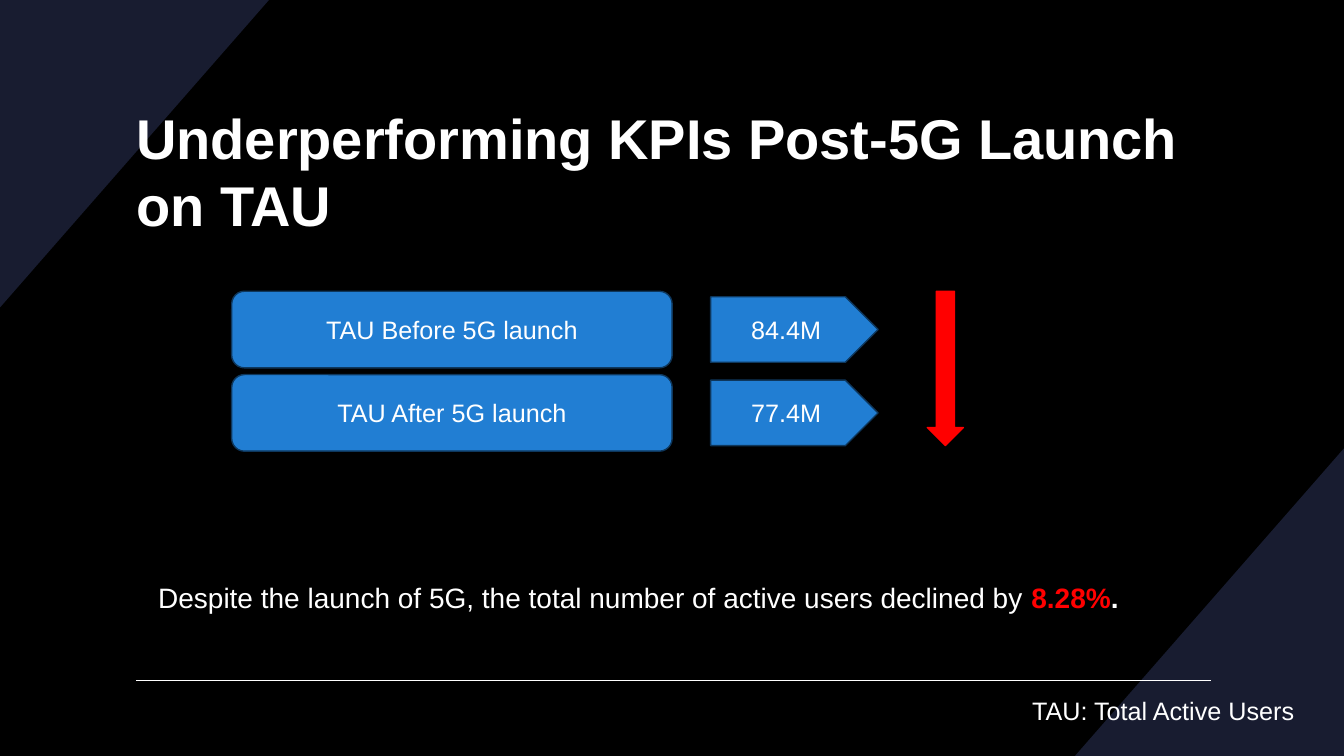
from pptx import Presentation
from pptx.dml.color import RGBColor
from pptx.enum import shapes, text
from pptx.oxml import xmlchemy
from pptx.util import Cm, Pt

# Content
TITLE = "Underperforming KPIs Post-5G Launch on TAU"
SUMMARY = [  # text, colour, bold
    ("Despite the launch of 5G, the total number of active users declined by ", "FFFFFF", False),
    ("8.28%", "FF0000", True),
    (".", "FFFFFF", True),
]
FOOTNOTE = "TAU: Total Active Users"
KPIS = [("TAU Before 5G launch", "84.4M"), ("TAU After 5G launch", "77.4M")]

# Colours and layout in centimetres
WHITE, BLUE, EDGE, RED, NAVY, BLACK = "FFFFFF", "217ED3", "0E375C", "FF0000", "181C30", "000000"
W, H = 33.87, 19.05
CORNER_W, CORNER_H = 6.78, 7.75
ROW_TOP, ROW_STEP, ROW_H, TAG_H = 7.34, 2.1, 1.93, 1.65


def rgb(value):
    return RGBColor.from_string(value)


def style(r, size, color=WHITE, bold=False):
    f = r.font
    f.name, f.size, f.bold = "Arial", Pt(size), bold
    f.color.rgb = rgb(color)


def place(sp, left, top, width, height):
    sp.left, sp.top, sp.width, sp.height = Cm(left), Cm(top), Cm(width), Cm(height)


def paint(sp, fill, line=None):
    sp.shadow.inherit = False
    sp.fill.solid()
    sp.fill.fore_color.rgb = rgb(fill)
    if line:
        sp.line.color.rgb = rgb(line)
        sp.line.width = Pt(1)
    else:
        sp.line.fill.background()


def add_block(kind, box, fill, line, label=""):
    sp = s.shapes.add_shape(kind, *map(Cm, box))
    paint(sp, fill, line)
    if label:
        tf = sp.text_frame
        tf.text = label
        tf.vertical_anchor = text.MSO_ANCHOR.MIDDLE
        p = tf.paragraphs[0]
        p.alignment = text.PP_ALIGN.CENTER
        style(p.runs[0], 18)


prs = Presentation()
prs.slide_width, prs.slide_height = Cm(W), Cm(H)
s = prs.slides.add_slide(prs.slide_layouts[1])
s.background.fill.solid()
s.background.fill.fore_color.rgb = rgb(BLACK)
title, body = s.placeholders

# Corner triangles, behind the text
for x, y, sign in ((0, 0, 1), (W, H, -1)):
    fb = s.shapes.build_freeform(Cm(x), Cm(y))
    fb.add_line_segments([(Cm(x + sign * CORNER_W), Cm(y)), (Cm(x), Cm(y + sign * CORNER_H))])
    sp = fb.convert_to_shape()
    paint(sp, NAVY)
    title.element.addprevious(sp.element)

# Rule above the footnote
rule = s.shapes.add_connector(shapes.MSO_CONNECTOR.STRAIGHT, Cm(3.43), Cm(17.14), Cm(30.53), Cm(17.14))
rule.line.color.rgb = rgb(WHITE)
rule.line.width = Pt(1)
rule.element.spPr.append(xmlchemy.OxmlElement("a:effectLst"))

# Title
place(title, 3.18, 2.41, 27.51, 3.78)
tf = title.text_frame
tf.text = TITLE
tf.vertical_anchor = text.MSO_ANCHOR.MIDDLE
p = tf.paragraphs[0]
p.alignment = text.PP_ALIGN.LEFT
style(p.runs[0], 40, bold=True)

# Summary sentence
place(body, 3.73, 14.33, 27.51, 1.37)
body.text_frame.auto_size = text.MSO_AUTO_SIZE.NONE
p = body.text_frame.paragraphs[0]
pPr = p._p.get_or_add_pPr()
pPr.set("marL", "0")
pPr.set("indent", "0")
pPr.append(xmlchemy.OxmlElement("a:buNone"))
p.line_spacing, p.space_before = 1.2, Pt(0)
for words, color, bold in SUMMARY:
    r = p.add_run()
    r.text = words
    style(r, 20, color, bold)

# Footnote
tf = s.shapes.add_textbox(Cm(25.76), Cm(17.4), Cm(7.14), Cm(1.03)).text_frame
tf.word_wrap = False
tf.text = FOOTNOTE
style(tf.paragraphs[0].runs[0], 18)

# KPI rows: label and value tag, centred on each other
for i, (label, value) in enumerate(KPIS):
    top = ROW_TOP + i * ROW_STEP
    add_block(shapes.MSO_SHAPE.ROUNDED_RECTANGLE, (5.84, top, 11.1, ROW_H), BLUE, EDGE, label)
    add_block(shapes.MSO_SHAPE.PENTAGON, (17.91, top + (ROW_H - TAG_H) / 2, 4.22, TAG_H), BLUE, EDGE, value)

# Decline arrow
add_block(shapes.MSO_SHAPE.DOWN_ARROW, (23.37, ROW_TOP, 0.91, 3.89), RED, RED)

prs.save("out.pptx")
